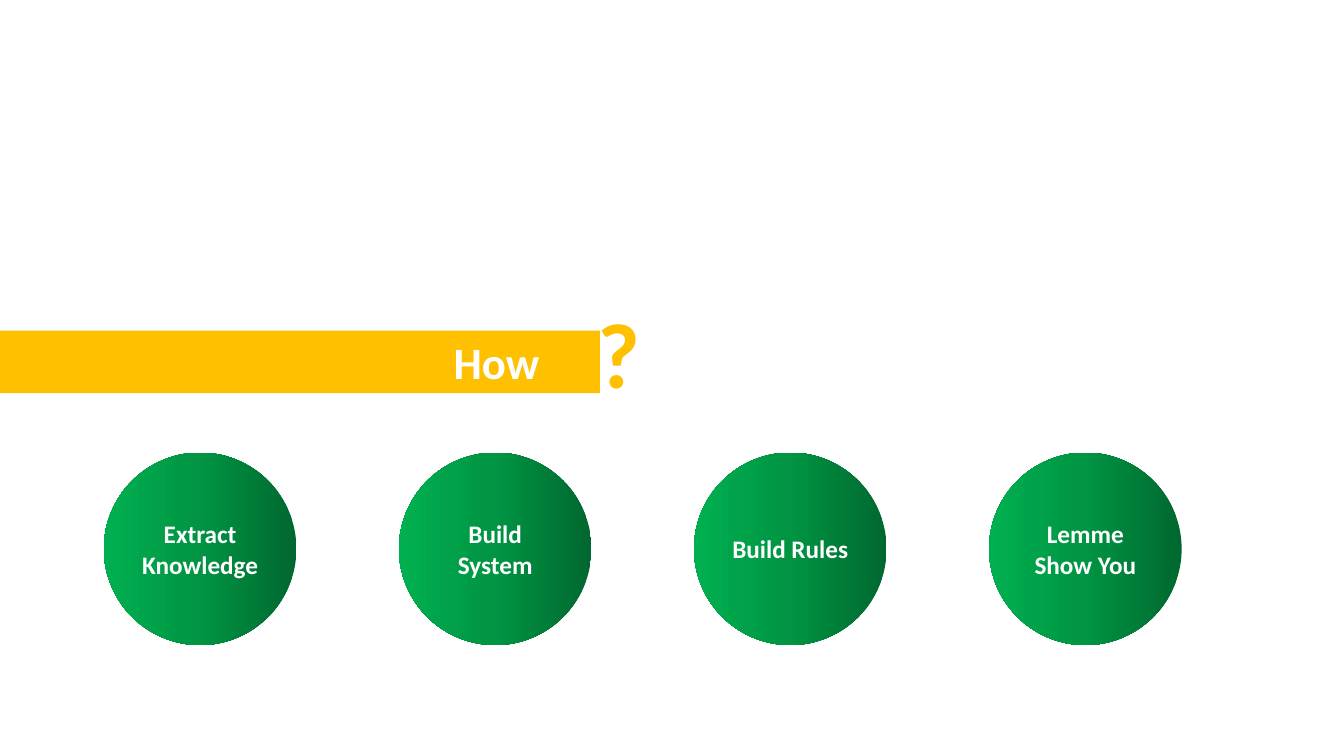
from copy import deepcopy

from pptx import Presentation
from pptx.dml.color import RGBColor
from pptx.enum.shapes import MSO_SHAPE
from pptx.enum.text import MSO_ANCHOR, PP_ALIGN
from pptx.oxml.ns import qn
from pptx.util import Inches, Pt

COLORS = {
    "white": "FFFFFF",
    "amber": "FFC000",
    "dark_green": "00682F",
    "middle_green": "009443",
    "green": "00B050",
}
STEPS = ["Extract Knowledge", "Build System", "Build Rules", "Lemme Show You"]


def color(name):
    return RGBColor.from_string(COLORS[name])


def write(shape, text, size, color_name, alignment):
    paragraph = shape.text_frame.paragraphs[0]
    paragraph.alignment = alignment
    run = paragraph.add_run()
    run.text = text
    run.font.name = "Calibri"
    run.font.size = Pt(size)
    run.font.bold = True
    run.font.color.rgb = color(color_name)


def add_plain_shape(slide, kind, left, top, width, height):
    shape = slide.shapes.add_shape(
        kind, Inches(left), Inches(top), Inches(width), Inches(height))
    shape.shadow.inherit = False
    shape.line.fill.background()
    shape.text_frame.word_wrap = True
    shape.text_frame.vertical_anchor = MSO_ANCHOR.MIDDLE
    return shape


def fill_green_gradient(shape):
    """Shade the shape from dark green on the right to green on the left."""
    shape.fill.gradient()
    shape.fill.gradient_angle = 180
    stop_list = shape._element.spPr.find(qn("a:gradFill")).find(qn("a:gsLst"))
    stop_list.append(deepcopy(stop_list[0]))
    names = ["dark_green", "middle_green", "green"]
    for stop, position, name in zip(shape.fill.gradient_stops, [0, 0.5, 1], names):
        stop.position = position
        stop.color.rgb = color(name)


def add_title(slide, left, top, width, height):
    """Draw the title bar with a large question mark at its right end."""
    bar = add_plain_shape(slide, MSO_SHAPE.RECTANGLE, left, top, width, height)
    bar.fill.solid()
    bar.fill.fore_color.rgb = color("amber")
    bar.text_frame.margin_right = Inches(0.6)
    write(bar, "How", 32, "white", PP_ALIGN.RIGHT)

    mark = slide.shapes.add_textbox(
        Inches(left + width - 0.12), Inches(top - 0.39), Inches(0.63), Inches(1.21))
    mark.text_frame.word_wrap = False
    write(mark, "?", 66, "amber", PP_ALIGN.LEFT)


def add_steps(slide, left, top, width, diameter):
    """Spread one circle per step evenly over the width."""
    pitch = (width - diameter) / (len(STEPS) - 1)
    for index, step in enumerate(STEPS):
        circle = add_plain_shape(
            slide, MSO_SHAPE.OVAL, left + index * pitch, top, diameter, diameter)
        fill_green_gradient(circle)
        write(circle, step, 18, "white", PP_ALIGN.CENTER)


def main():
    presentation = Presentation()
    presentation.slide_width = Inches(13.33)
    presentation.slide_height = Inches(7.5)
    slide = presentation.slides.add_slide(presentation.slide_layouts[6])
    add_title(slide, 0, 3.28, 5.95, 0.62)
    add_steps(slide, 1.03, 4.49, 10.69, 1.91)
    presentation.save("out.pptx")


if __name__ == "__main__":
    main()
